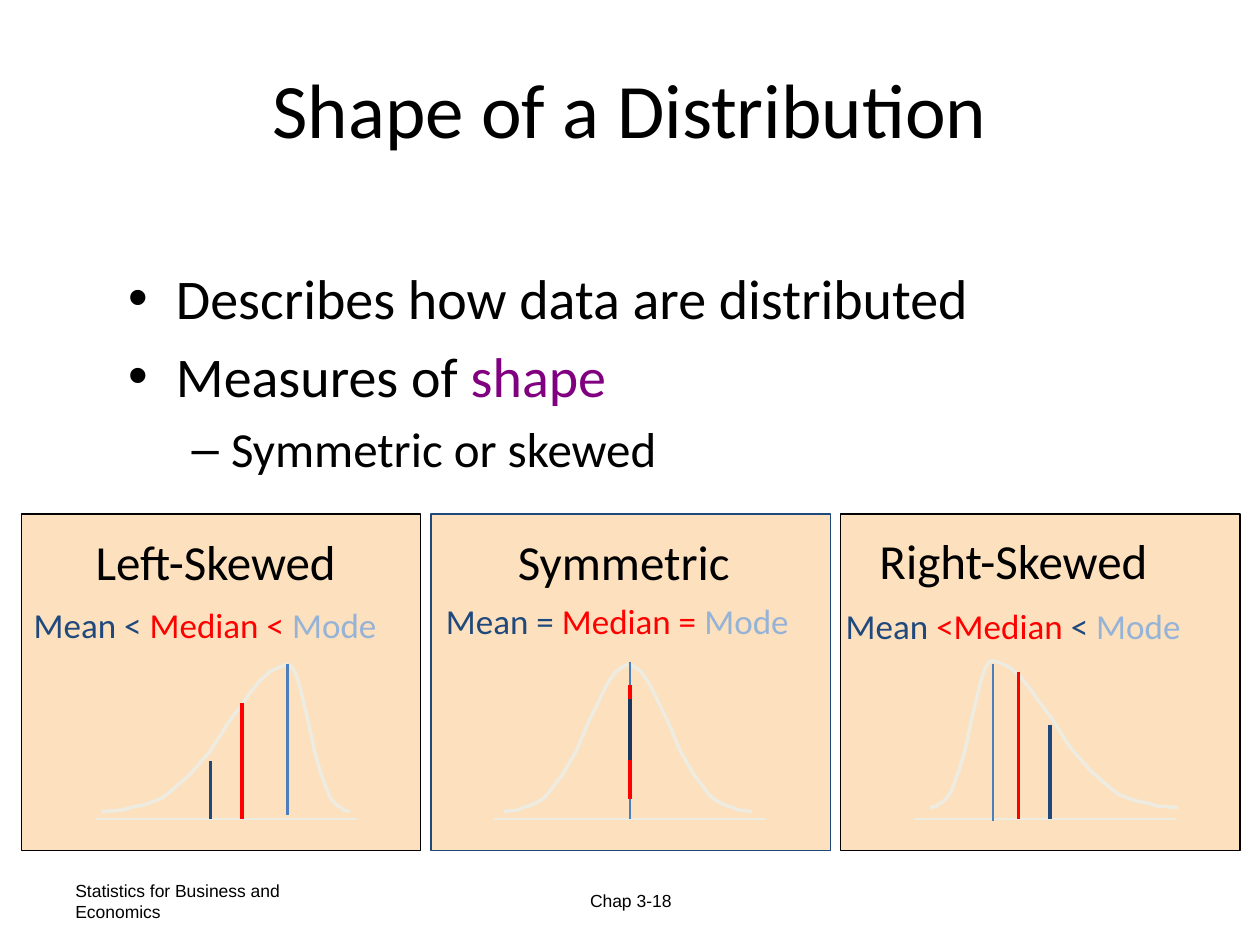
from lxml import etree
from pptx import Presentation
from pptx import util as u
from pptx.dml.color import RGBColor
from pptx.enum import shapes, text
from pptx.oxml.ns import qn

BLACK, NAVY, RED, PALE_BLUE = "000000", "1F497D", "FF0000", "95B3D7"
CURVE, MODE_LINE, DEEP_NAVY = "EEECE1", "4B7EBC", "17375E"
PEACH, PURPLE = "FDE0BD", "800080"

PANEL_LEFT, PANEL_STEP, PANEL_TOP = 0.43, 8.26, 10.36
PANEL_WIDTH, PANEL_HEIGHT = 8.05, 6.78
AXIS_Y, CURVE_HEIGHT = 16.51, 2.97

# Half a bell, from foot to peak: share of the width, share of the height
BELL = [(0, 0), (0.11, 0.01), (0.16, 0.03), (0.21, 0.04), (0.26, 0.06),
        (0.32, 0.09), (0.37, 0.14), (0.47, 0.25), (0.58, 0.41), (0.68, 0.61),
        (0.74, 0.71), (0.79, 0.8), (0.84, 0.88), (0.9, 0.95), (0.95, 0.98), (1, 1)]

# Text positions are (left, top, width); markers are (x, top, bottom, colour, points)
PANELS = [
    dict(name="Left-Skewed", name_at=(1.68, 10.59, 6.32), outline=BLACK,
         relation=[("Mean <", NAVY), (" Median < ", RED), ("Mode", PALE_BLUE)],
         relation_at=(0.43, 12.04, 8.26),
         feet=(2.06, 7.06), peak=(5.82, 13.39), axis=(1.91, 7.2),
         markers=[(4.88, 14.17, AXIS_Y, RED, 2), (4.24, 15.34, AXIS_Y, NAVY, 2),
                  (5.79, 13.39, 16.43, MODE_LINE, 1.5)]),
    dict(name="Symmetric", name_at=(10.19, 10.59, 5.56), outline=NAVY,
         relation=[("Mean =", NAVY), (" Median = ", RED), ("Mode", PALE_BLUE)],
         relation_at=(8.74, 11.96, 8.26),
         feet=(10.16, 15.16), peak=(12.67, 13.39), axis=(9.96, 15.45),
         markers=[(12.7, 13.34, AXIS_Y, MODE_LINE, 1.5), (12.7, 13.8, 16.1, RED, 2),
                  (12.7, 14.1, 15.32, DEEP_NAVY, 2)]),
    dict(name="Right-Skewed", name_at=(17.48, 10.57, 7.04), outline=BLACK,
         relation=[("Mean", NAVY), (" <Median ", RED), ("< ", NAVY), ("Mode", PALE_BLUE)],
         relation_at=(16.8, 12.07, 8.29),
         feet=(18.75, 23.75), peak=(19.99, 13.31), axis=(18.42, 23.7),
         markers=[(20.53, 13.54, AXIS_Y, RED, 2), (21.17, 14.61, AXIS_Y, NAVY, 2),
                  (20.02, 13.39, 16.56, MODE_LINE, 1.5)]),
]


def colour(value):
    return RGBColor.from_string(value)


def add_spans(para, spans, size, font="Calibri"):
    """Add (words, colour) pairs to a paragraph as runs."""
    for words, shade in spans:
        span = para.add_run()
        span.text = words
        span.font.size = u.Pt(size)
        span.font.name = font
        span.font.color.rgb = colour(shade)


def place(shape, left, top, width, height):
    shape.left, shape.top = u.Cm(left), u.Cm(top)
    shape.width, shape.height = u.Cm(width), u.Cm(height)


def add_label(page, left, top, width, height, spans, size, font="Calibri"):
    box = page.shapes.add_textbox(u.Cm(left), u.Cm(top), u.Cm(width), u.Cm(height))
    box.text_frame.word_wrap = True
    add_spans(box.text_frame.paragraphs[0], spans, size, font)
    return box


def add_footer(page, left, width, words, align):
    box = add_label(page, left, 17.65, width, 1.02, [(words, BLACK)], 10, "Arial")
    box.text_frame.vertical_anchor = text.MSO_ANCHOR.MIDDLE
    box.text_frame.paragraphs[0].alignment = align


def add_line(page, start, end, shade, points):
    line = page.shapes.add_connector(
        shapes.MSO_CONNECTOR.STRAIGHT, *(u.Cm(value) for value in start + end))
    line.line.color.rgb = colour(shade)
    line.line.width = u.Pt(points)
    etree.SubElement(line._element.spPr, qn("a:effectLst"))


def add_half_bell(page, foot, peak):
    """Draw the curve from one foot up to the peak."""
    peak_x, peak_y = peak
    points = [(u.Cm(foot + (peak_x - foot) * across),
               u.Cm(peak_y + CURVE_HEIGHT * (1 - up))) for across, up in BELL]
    builder = page.shapes.build_freeform(*points[0])
    builder.add_line_segments(points[1:], close=False)
    curve = builder.convert_to_shape()
    curve.shadow.inherit = False
    curve.fill.background()
    curve.line.color.rgb = colour(CURVE)
    curve.line.width = u.Pt(2)


def add_panel(page, left, panel):
    frame = page.shapes.add_shape(
        shapes.MSO_SHAPE.RECTANGLE, u.Cm(left), u.Cm(PANEL_TOP),
        u.Cm(PANEL_WIDTH), u.Cm(PANEL_HEIGHT))
    frame.shadow.inherit = False
    frame.fill.solid()
    frame.fill.fore_color.rgb = colour(PEACH)
    frame.line.color.rgb = colour(panel["outline"])
    frame.line.width = u.Pt(0.75)

    for foot in panel["feet"]:
        add_half_bell(page, foot, panel["peak"])
    axis_start, axis_end = panel["axis"]
    add_line(page, (axis_start, AXIS_Y), (axis_end, AXIS_Y), CURVE, 1)
    for x, top, bottom, shade, points in panel["markers"]:
        add_line(page, (x, top), (x, bottom), shade, points)

    add_label(page, *panel["name_at"], 1.42, [(panel["name"], BLACK)], 28)
    add_label(page, *panel["relation_at"], 1.09, panel["relation"], 20)


def fill_title(page):
    title = page.shapes.title
    place(title, 1.27, 0.76, 22.86, 3.18)
    para = title.text_frame.paragraphs[0]
    para.line_spacing = 0.8
    add_spans(para, [("Shape of a Distribution", BLACK)], 44)


def fill_body(page):
    body = page.placeholders[1]
    place(body, 2.34, 5.18, 22.43, 4.85)
    frame = body.text_frame
    frame.auto_size = text.MSO_AUTO_SIZE.NONE
    items = [(0, 32, [("Describes how data are distributed", BLACK)]),
             (0, 32, [("Measures of ", BLACK), ("shape", PURPLE)]),
             (1, 28, [("Symmetric or skewed", BLACK)])]
    for number, (level, size, spans) in enumerate(items):
        para = frame.add_paragraph() if number else frame.paragraphs[0]
        para.level = level
        add_spans(para, spans, size)


def main():
    deck = Presentation()
    deck.slide_width, deck.slide_height = u.Cm(25.4), u.Cm(19.05)
    page = deck.slides.add_slide(deck.slide_layouts[1])
    fill_title(page)
    fill_body(page)
    for number, panel in enumerate(PANELS):
        add_panel(page, PANEL_LEFT + number * PANEL_STEP, panel)
    add_footer(page, 1.27, 5.92, "Statistics for Business and Economics", text.PP_ALIGN.LEFT)
    add_footer(page, 8.69, 8.05, "Chap 3-18", text.PP_ALIGN.CENTER)
    deck.save("out.pptx")


if __name__ == "__main__":
    main()
